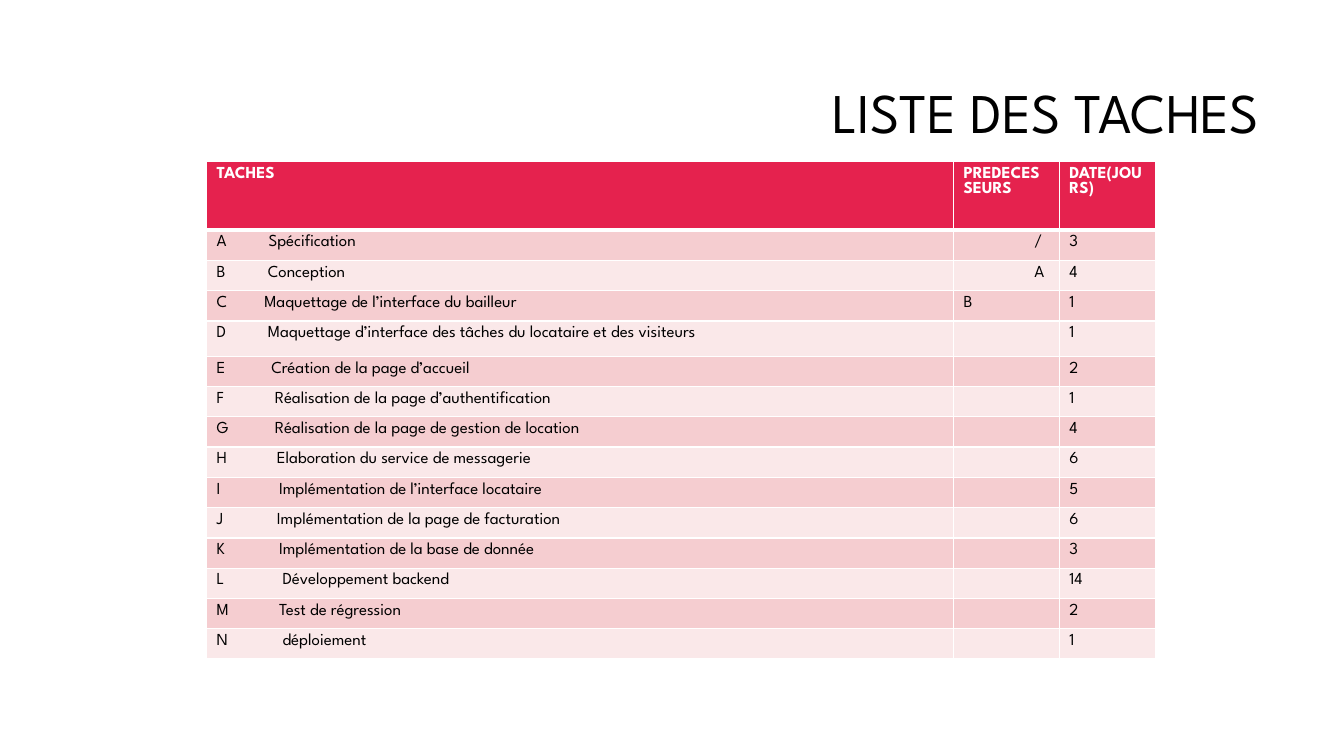
from dataclasses import dataclass

from lxml.etree import SubElement
from pptx import Presentation
from pptx.dml.color import RGBColor as Rgb
from pptx.enum.text import MSO_ANCHOR as Anchor, PP_ALIGN as Align
from pptx.oxml.ns import qn
from pptx.util import Pt


@dataclass(frozen=True)
class Theme:
    """Colours, type and line widths of the slide."""
    font: str = "League Spartan"
    ink: str = "000000"
    paper: str = "FFFFFF"
    accent: str = "E5224E"
    bands: tuple = ("F5CDD0", "FAE8E9")
    title_size: int = 40
    body_size: int = 12
    rule: float = 1
    header_rule: float = 3


HEADINGS = ("TACHES", "PREDECESSEURS", "DATE(JOURS)")
TASKS = (
    ("A", 37, "Spécification", "/", 3),
    ("B", 36.5, "Conception", "A", 4),
    ("C", 34, "Maquettage de l’interface du bailleur", "B", 1),
    ("D", 36.5, "Maquettage d’interface des tâches du locataire et des visiteurs", "", 1),
    ("E", 39, "Création de la page d’accueil", "", 2),
    ("F", 41.5, "Réalisation de la page d’authentification", "", 1),
    ("G", 41.5, "Réalisation de la page de gestion de location", "", 4),
    ("H", 43, "Elaboration du service de messagerie", "", 6),
    ("I", 44.5, "Implémentation de l’interface locataire", "", 5),
    ("J", 43, "Implémentation de la page de facturation", "", 6),
    ("K", 44.5, "Implémentation de la base de donnée", "", 3),
    ("L", 47, "Développement backend", "", 14),
    ("M", 44.5, "Test de régression", "", 2),
    ("N", 47, "déploiement", "", 1),
)
COLUMN_WIDTHS = (533.5, 75.6, 69.1)
HEADER_HEIGHT, ROW_HEIGHT = 49, 19.65
SPECIAL_HEIGHTS = {"A": 12.25, "D": 25.2}
INDENTED_PREDECESSORS = {"A": 50.5, "B": 50.5}


class SlideBuilder:
    """Holds the theme and the slide being filled."""

    def __init__(self, slide, theme):
        self.slide, self.theme = slide, theme

    def wording(self, paragraph, text, size, color, bold=False):
        """Put styled text into a paragraph."""
        if not text:
            SubElement(paragraph._p, qn("a:endParaRPr"), sz=str(size * 100))
            return
        run = paragraph.add_run()
        run.text = text
        formats = {"name": self.theme.font, "size": Pt(size), "bold": bold}
        for attribute, value in formats.items():
            setattr(run.font, attribute, value)
        run.font.color.rgb = Rgb.from_string(color)

    def title(self, text, left, top, width, height):
        """Add the right-aligned slide title."""
        box = self.slide.shapes.add_textbox(Pt(left), Pt(top), Pt(width), Pt(height))
        frame = box.text_frame
        formats = {"word_wrap": True, "vertical_anchor": Anchor.MIDDLE}
        for attribute, value in formats.items():
            setattr(frame, attribute, value)
        heading = frame.paragraphs[0]
        heading.alignment, heading.line_spacing = Align.RIGHT, 0.9
        self.wording(heading, text, self.theme.title_size, self.theme.ink)

    def borders(self, cell, top, bottom):
        """Draw the four rules around a cell."""
        rule = self.theme.rule
        for side, width in zip("LRTB", (rule, rule, top, bottom)):
            line = SubElement(cell._tc.get_or_add_tcPr(), qn(f"a:ln{side}"), w=str(Pt(width)))
            SubElement(SubElement(line, qn("a:solidFill")), qn("a:srgbClr"), val=self.theme.paper)

    def cell(self, cell, text, fill, color, bold=False, top=1, bottom=1, tab=0, indent=0):
        """Fill one table cell with its text, rules and background."""
        self.borders(cell, top, bottom)
        cell.fill.solid()
        cell.fill.fore_color.rgb = Rgb.from_string(fill)
        paragraph = cell.text_frame.paragraphs[0]
        if indent:
            paragraph._p.get_or_add_pPr().set("marL", str(Pt(indent)))
        if tab:
            stops = SubElement(paragraph._p.get_or_add_pPr(), qn("a:tabLst"))
            SubElement(stops, qn("a:tab"), pos=str(Pt(tab)), algn="l")
        self.wording(paragraph, text, self.theme.body_size, color, bold)

    def task_table(self, left, top):
        """Add the table of tasks, predecessors and durations."""
        theme = self.theme
        heights = [HEADER_HEIGHT] + [SPECIAL_HEIGHTS.get(task[0], ROW_HEIGHT) for task in TASKS]
        table = self.slide.shapes.add_table(
            len(heights), len(COLUMN_WIDTHS), Pt(left), Pt(top),
            Pt(sum(COLUMN_WIDTHS)), Pt(sum(heights))).table
        table.horz_banding = False
        for column, width in zip(table.columns, COLUMN_WIDTHS):
            column.width = Pt(width)
        for row, height in zip(table.rows, heights):
            row.height = Pt(height)
        for column, heading in enumerate(HEADINGS):
            self.cell(table.cell(0, column), heading, theme.accent, theme.paper,
                      bold=True, bottom=theme.header_rule)
        for row, (letter, tab, task, predecessor, days) in enumerate(TASKS, 1):
            band = theme.bands[(row - 1) % 2]
            upper = theme.header_rule if row == 1 else theme.rule
            entries = ((f"{letter}\t{task}", {"tab": tab}),
                       (predecessor, {"indent": INDENTED_PREDECESSORS.get(letter, 0)}),
                       (str(days), {}))
            for column, (text, layout) in enumerate(entries):
                self.cell(table.cell(row, column), text, band, theme.ink, top=upper, **layout)


def main():
    """Build and save the task list slide."""
    deck = Presentation()
    deck.slide_width, deck.slide_height = Pt(960), Pt(540)
    builder = SlideBuilder(deck.slides.add_slide(deck.slide_layouts[6]), Theme())
    builder.title("LISTE DES TACHES", 228.25, 31.7, 678.25, 101.5)
    builder.task_table(147.6, 115.4)
    deck.save("out.pptx")


if __name__ == "__main__":
    main()
